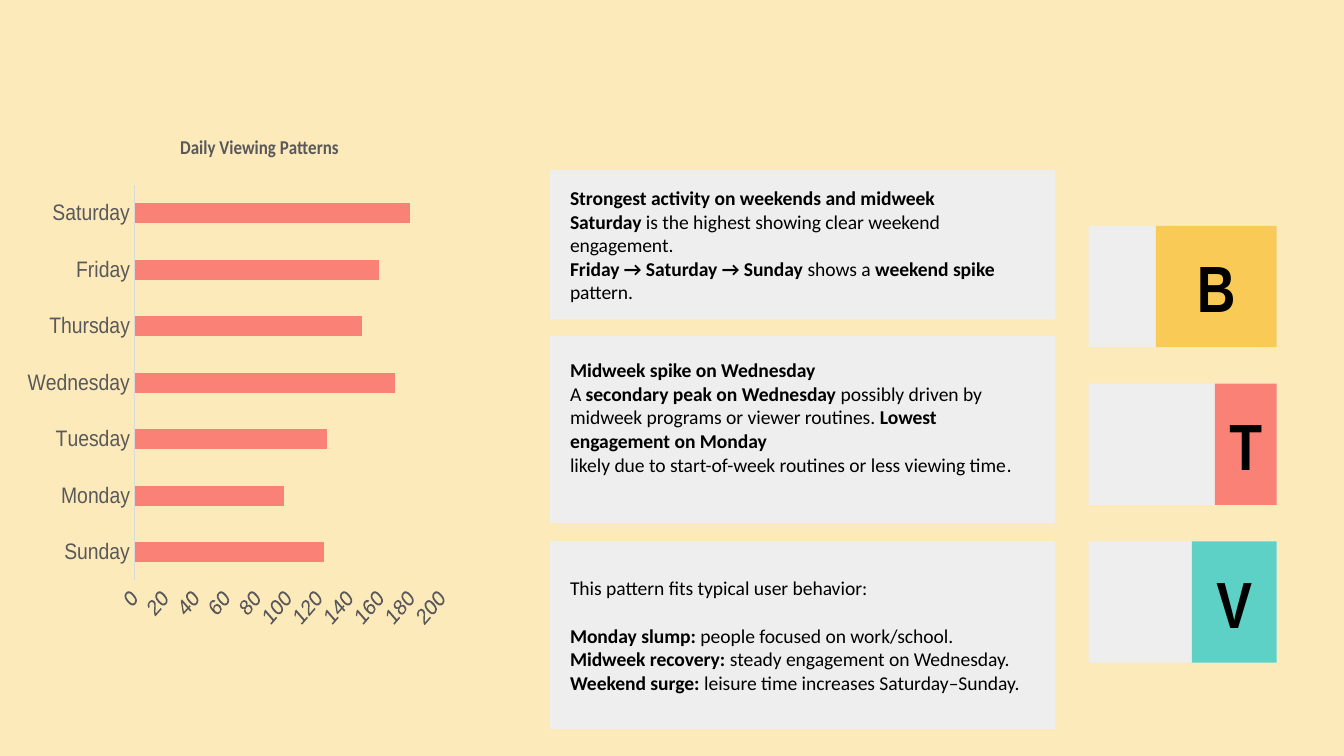
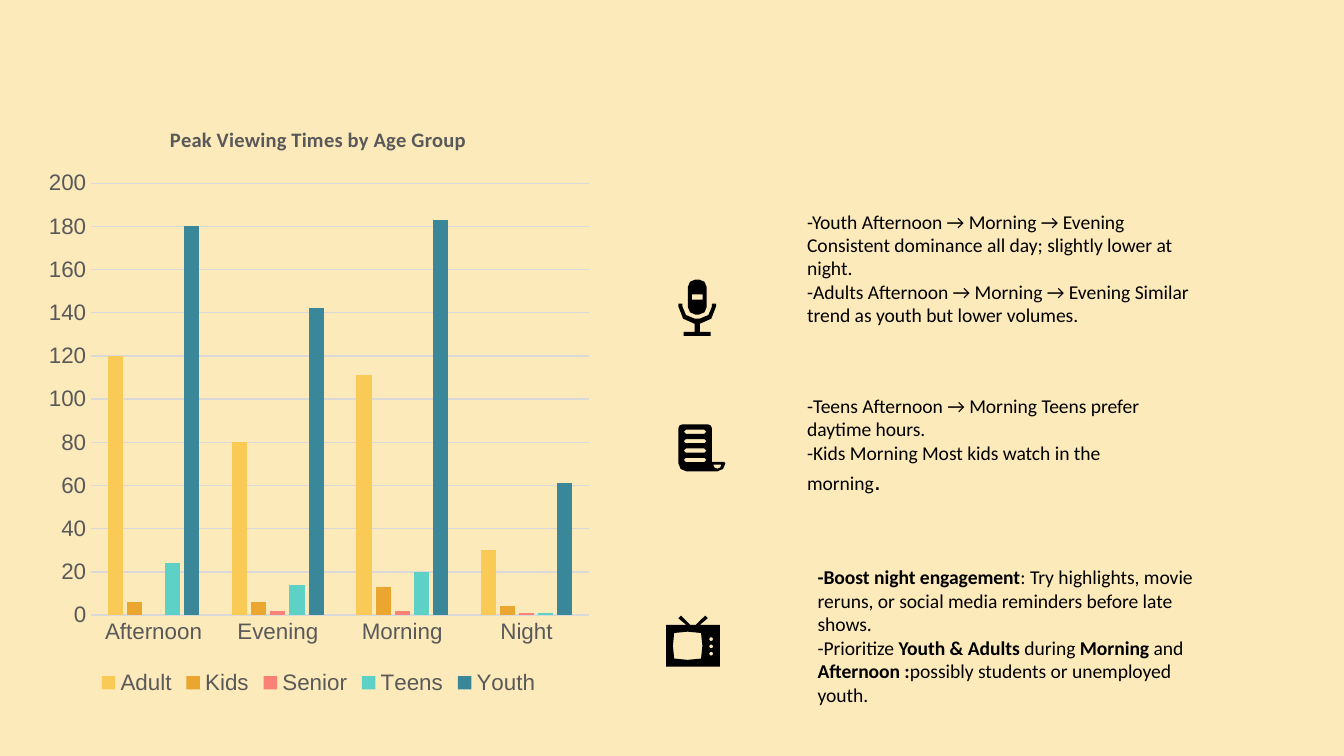
import math
from typing import NamedTuple, Optional

import pptx
import pptx.chart.axis
import pptx.chart.chart
import pptx.chart.data
import pptx.dml.color
import pptx.enum.chart
import pptx.enum.shapes
import pptx.enum.text
import pptx.oxml
import pptx.oxml.ns
import pptx.shapes.autoshape
import pptx.shapes.shapetree
import pptx.slide
import pptx.text.text
import pptx.util

Pt = pptx.util.Pt
RGBColor = pptx.dml.color.RGBColor
XL_CHART_TYPE = pptx.enum.chart.XL_CHART_TYPE

CREAM = RGBColor(0xFD, 0xEA, 0xBB)
PALE = RGBColor(0xEE, 0xEE, 0xEE)
BLACK = RGBColor(0x00, 0x00, 0x00)
GREY = RGBColor(0x59, 0x59, 0x59)
RULE = RGBColor(0xD9, 0xD9, 0xD9)
YELLOW = RGBColor(0xF9, 0xCA, 0x55)
ORANGE = RGBColor(0xEA, 0xA6, 0x2F)
CORAL = RGBColor(0xFA, 0x81, 0x75)
TEAL = RGBColor(0x5E, 0xD1, 0xC6)
BLUE = RGBColor(0x3A, 0x87, 0x99)

Point = tuple[float, float]
Outline = list[Point]


class Box(NamedTuple):
    left: float
    top: float
    width: float
    height: float

    def lengths(self) -> list[pptx.util.Length]:
        return [Pt(value) for value in self]


class Span(NamedTuple):
    text: str
    bold: bool = False
    size: float = 10.5
    font: str = "Calibri"


class Note(NamedTuple):
    box: Box
    paragraphs: list[list[Span]]
    bottom: float = 7.2
    first_gap: float = 0


class Letter(NamedTuple):
    text: str
    color: RGBColor
    width: float


class Series(NamedTuple):
    name: str
    values: list[Optional[int]]
    color: RGBColor


class Graph(NamedTuple):
    kind: XL_CHART_TYPE
    box: Box
    title: str
    title_size: float
    title_at: Point
    plot: Box
    categories: list[str]
    series: list[Series]
    gap: int
    overlap: int = 0
    gridlines: bool = False
    legend: bool = False


def bold(text: str) -> Span:
    return Span(text, True)


def style_font(font: pptx.text.text.Font, size: float, name: str, color: RGBColor, is_bold: bool = False) -> None:
    font.size, font.name, font.bold = Pt(size), name, is_bold
    font.color.rgb = color


def add_rectangle(slide: pptx.slide.Slide, box: Box, color: RGBColor) -> pptx.shapes.autoshape.Shape:
    rectangle = slide.shapes.add_shape(pptx.enum.shapes.MSO_SHAPE.RECTANGLE, *box.lengths())
    rectangle.shadow.inherit = False
    rectangle.fill.solid()
    rectangle.fill.fore_color.rgb = color
    rectangle.line.fill.background()
    return rectangle


def write_note(holder: pptx.shapes.autoshape.Shape, note: Note,
               align: pptx.enum.text.PP_ALIGN = pptx.enum.text.PP_ALIGN.LEFT, side: float = 10.8) -> None:
    frame = holder.text_frame
    frame.word_wrap = True
    frame.vertical_anchor = pptx.enum.text.MSO_ANCHOR.MIDDLE
    frame.margin_left = frame.margin_right = Pt(side)
    frame.margin_top, frame.margin_bottom = Pt(7.2), Pt(note.bottom)
    for index, spans in enumerate(note.paragraphs):
        paragraph = frame.add_paragraph() if index else frame.paragraphs[0]
        paragraph.alignment = align
        if index == 0 and note.first_gap:
            paragraph.space_after = Pt(note.first_gap)
        for span in spans:
            run = paragraph.add_run()
            run.text = span.text
            style_font(run.font, span.size, span.font, BLACK, span.bold)


def place_part(part, position: int, area: Box, **lengths: float) -> None:
    layout = part.find(pptx.oxml.ns.qn("c:layout"))
    if layout is not None:
        part.remove(layout)
    target = '<c:layoutTarget val="inner"/>' if "w" in lengths else ""
    modes = '<c:xMode val="edge"/><c:yMode val="edge"/>'
    values = "".join(f'<c:{key} val="{length / (area.width if key in "xw" else area.height):.4f}"/>'
                     for key, length in lengths.items())
    part.insert(position, pptx.oxml.parse_xml(
        f'<c:layout {pptx.oxml.ns.nsdecls("c")}><c:manualLayout>{target}{modes}{values}'
        "</c:manualLayout></c:layout>"))


def style_axis(axis: pptx.chart.axis.CategoryAxis | pptx.chart.axis.ValueAxis) -> None:
    axis.major_tick_mark = axis.minor_tick_mark = pptx.enum.chart.XL_TICK_MARK.NONE
    style_font(axis.tick_labels.font, 12, "Arial", GREY)


def add_graph(slide: pptx.slide.Slide, graph: Graph) -> None:
    data = pptx.chart.data.CategoryChartData()
    data.categories = graph.categories
    for series in graph.series:
        data.add_series(series.name, series.values)
    chart = slide.shapes.add_chart(graph.kind, *graph.box.lengths(), data).chart
    style_font(chart.font, 10, "Arial", BLACK)

    chart.has_title = True
    heading = chart.chart_title.text_frame.paragraphs[0].add_run()
    heading.text = graph.title
    style_font(heading.font, graph.title_size, "Calibri", GREY, True)
    place_part(chart.chart_title._element, 1, graph.box, x=graph.title_at[0], y=graph.title_at[1])
    plot_area = chart._chartSpace.chart.plotArea
    place_part(plot_area, 0, graph.box, **dict(zip("xywh", graph.plot)))

    style_axis(chart.category_axis)
    style_axis(chart.value_axis)
    for body in plot_area.iter(pptx.oxml.ns.qn("a:bodyPr")):
        body.set("rot", "-60000000")
    chart.category_axis.format.line.color.rgb = RULE
    chart.category_axis.format.line.width = Pt(0.75)
    values = chart.value_axis
    values.format.line.fill.background()
    values.minimum_scale, values.maximum_scale, values.major_unit = 0, 200, 20
    values.has_major_gridlines = graph.gridlines
    if graph.gridlines:
        values.major_gridlines.format.line.color.rgb = RULE
        values.major_gridlines.format.line.width = Pt(0.75)

    chart.has_legend = graph.legend
    if graph.legend:
        chart.legend.position = pptx.enum.chart.XL_LEGEND_POSITION.BOTTOM
        chart.legend.include_in_layout = False
        style_font(chart.legend.font, 12, "Arial", GREY)

    plot = chart.plots[0]
    plot.vary_by_categories = False
    plot.gap_width, plot.overlap = graph.gap, graph.overlap
    for bars, series in zip(plot.series, graph.series):
        bars.format.fill.solid()
        bars.format.fill.fore_color.rgb = series.color


def arc(x: float, y: float, rx: float, ry: float, start: int, end: int, step: int = 45) -> Outline:
    count = abs(end - start) // step
    angles = [math.radians(start + (end - start) * index / count) for index in range(count + 1)]
    return [(x + rx * math.cos(angle), y + ry * math.sin(angle)) for angle in angles]


def rounded(box: Box, radius: float, step: int = 45) -> Outline:
    left, top = box.left + radius, box.top + radius
    right, bottom = box.left + box.width - radius, box.top + box.height - radius
    corners = [(right, bottom), (left, bottom), (left, top), (right, top)]
    return [point for turn, (x, y) in enumerate(corners)
            for point in arc(x, y, radius, radius, 90 * turn, 90 * turn + 90, step)]


def mirrored(center: float, half: Outline) -> Outline:
    return [(center + x, y) for x, y in half] + [(center - x, y) for x, y in reversed(half)]


def add_icon(shapes: pptx.shapes.shapetree.SlideShapes | pptx.shapes.shapetree.GroupShapes,
             outlines: list[Outline]) -> None:
    contours = [list(dict.fromkeys((Pt(round(x, 2)), Pt(round(y, 2))) for x, y in outline))
                for outline in outlines]
    builder = shapes.build_freeform(*contours[0][0])
    for index, contour in enumerate(contours):
        if index:
            builder.move_to(*contour[0])
        builder.add_line_segments(contour[1:], close=True)
    icon = builder.convert_to_shape()
    icon.shadow.inherit = False
    icon.fill.solid()
    icon.fill.fore_color.rgb = BLACK
    icon.line.fill.background()


DAILY_NOTES = [
    Note(Box(294.6, 91.2, 270.7, 79.9), [
        [bold("Strongest activity on weekends and midweek")],
        [bold("Saturday"), Span(" is the highest showing clear weekend engagement.")],
        [bold("Friday → Saturday → Sunday"), Span(" shows a "), bold("weekend spike"), Span(" pattern.")],
    ]),
    Note(Box(294.6, 289.9, 270.7, 100.8), [
        [Span("This pattern fits typical user behavior:")],
        [bold("Monday slump:"), Span(" people focused on work/school.")],
        [bold("Midweek recovery:"), Span(" steady engagement on Wednesday.")],
        [bold("Weekend surge:"), Span(" leisure time increases Saturday–Sunday.")],
    ], first_gap=12.8),
    Note(Box(294.6, 180, 270.7, 100.1), [
        [bold("Midweek spike on Wednesday")],
        [Span("A "), bold("secondary peak on Wednesday "),
         Span("possibly driven by midweek programs or viewer routines."), bold(" Lowest engagement on Monday")],
        [Span("likely due to start-of-week routines or less viewing time"), Span(".", size=11, font="Arial")],
    ], bottom=20),
]

LETTERS = [Letter("B", YELLOW, 64.8), Letter("T", CORAL, 33.1), Letter("V", TEAL, 45.4)]
CARD = Box(583.2, 121, 100.8, 65)
CARD_PITCH = 84.5

DAILY_GRAPH = Graph(
    XL_CHART_TYPE.BAR_CLUSTERED, Box(14.8, 59.6, 226.1, 313.9), "Daily Viewing Patterns", 10.5,
    (62, 10), Box(36.2, 39.5, 190.4, 211.9),
    ["Sunday", "Monday", "Tuesday", "Wednesday", "Thursday", "Friday", "Saturday"],
    [Series("Series 1", [123, 97, 125, 169, 148, 159, 179], CORAL)], gap=182)

AGE_NOTES = [
    Note(Box(421.6, 105.8, 238.3, 88.6), [
        [Span("-Youth Afternoon → Morning → Evening Consistent dominance all day; slightly lower at night.")],
        [Span("-Adults Afternoon → Morning → Evening Similar trend as youth but lower volumes.")],
    ], bottom=20),
    Note(Box(427.2, 276, 236.9, 128.9), [
        [bold("-Boost night engagement"),
         Span(": Try highlights, movie reruns, or social media reminders before late shows.")],
        [Span("-Prioritize "), bold("Youth & Adults"), Span(" during "), bold("Morning "), Span("and "),
         bold("Afternoon :"), Span("possibly students or unemployed youth.")],
    ]),
    Note(Box(421.6, 205.9, 214.6, 64.8), [
        [Span("-Teens Afternoon → Morning Teens prefer daytime hours.")],
        [Span("-Kids Morning Most kids watch in the morning"), Span(".", size=14, font="Arial")],
    ]),
]

AGE_GRAPH = Graph(
    XL_CHART_TYPE.COLUMN_CLUSTERED, Box(19.8, 55.4, 301.7, 319.7), "Peak Viewing Times by Age Group", 11,
    (69.2, 10.1), Box(29.2, 42.8, 266.4, 231.4),
    ["Afternoon", "Evening", "Morning", "Night"],
    [Series("Adult", [120, 80, 111, 30], YELLOW), Series("Kids", [6, 6, 13, 4], ORANGE),
     Series("Senior", [None, 2, 2, 1], CORAL), Series("Teens", [24, 14, 20, 1], TEAL),
     Series("Youth", [180, 142, 183, 61], BLUE)],
    gap=219, overlap=-27, gridlines=True, legend=True)

TELEVISION = [
    mirrored(371.3, [(-1.4, 334.8), (-6.5, 329.8), (-7.9, 331.2), (-3.6, 334.8), (-14.4, 334.8), (-14.4, 357.1)]),
    mirrored(368.4, [(0, 338.4), (-7.2, 339.1), (-7.9, 346), (-7.2, 352.8), (0, 353.5)]),
    *[arc(381, 342.4 + 3.9 * knob, 1.1, 1.1, 0, 360, 60) for knob in range(3)],
]
MICROPHONE_STAND = [mirrored(373.5, [
    (-7.2, 180), (-7.2, 177.8), (-1.4, 177.8), *arc(-1.4, 164.2, 8.7, 9.3, 90, 180),
    (-10.1, 162.7), (-7.9, 162.7), *arc(-1.4, 164.2, 6.5, 6.5, 180, 90)])]
MICROPHONE_HEAD = [rounded(Box(368.5, 149.8, 10.1, 18.7), 4),
                   [(370.7, 157.7), (376.5, 157.7), (376.5, 160.6), (370.7, 160.6)]]
SCROLL = [
    [*arc(365.6, 229.5, 2.2, 2.2, 180, 270), *arc(379.2, 229.5, 2.2, 2.2, 270, 360), (381.4, 247.5),
     (388, 247.5), *arc(384.3, 248.2, 4.3, 4.3, 0, 90), *arc(367.7, 248.2, 4.3, 4.3, 90, 180)],
    *[rounded(Box(366.3, 230.2 + 5.04 * row, 12.2, 2.2), 1.1, 90) for row in range(4)],
    arc(384.3, 248.9, 2.2, 2.2, 0, 180),
]


def build_daily(slide: pptx.slide.Slide) -> None:
    cards = [CARD._replace(top=CARD.top + CARD_PITCH * row) for row in range(len(LETTERS))]
    for card in cards:
        add_rectangle(slide, card, PALE)
    for note in DAILY_NOTES:
        write_note(add_rectangle(slide, note.box, PALE), note)
    for card, letter in zip(cards, LETTERS):
        tile = card._replace(left=card.left + card.width - letter.width, width=letter.width)
        label = Note(tile, [[Span(letter.text, True, 35, "Arial Narrow")]])
        write_note(add_rectangle(slide, tile, letter.color), label, pptx.enum.text.PP_ALIGN.CENTER, 7.2)
    add_graph(slide, DAILY_GRAPH)


def build_age_groups(slide: pptx.slide.Slide) -> None:
    for note in AGE_NOTES:
        write_note(slide.shapes.add_textbox(*note.box.lengths()), note)
    add_icon(slide.shapes, TELEVISION)
    microphone = slide.shapes.add_group_shape()
    for outlines in (MICROPHONE_STAND, MICROPHONE_HEAD):
        add_icon(microphone.shapes, outlines)
    add_icon(slide.shapes, SCROLL)
    add_graph(slide, AGE_GRAPH)


def main() -> None:
    deck = pptx.Presentation()
    deck.slide_width, deck.slide_height = Pt(720), Pt(405)
    backdrop = deck.slide_master.background.fill
    backdrop.solid()
    backdrop.fore_color.rgb = CREAM
    blank = deck.slide_layouts[6]
    for build in (build_daily, build_age_groups):
        build(deck.slides.add_slide(blank))
    deck.save("out.pptx")


if __name__ == "__main__":
    main()
